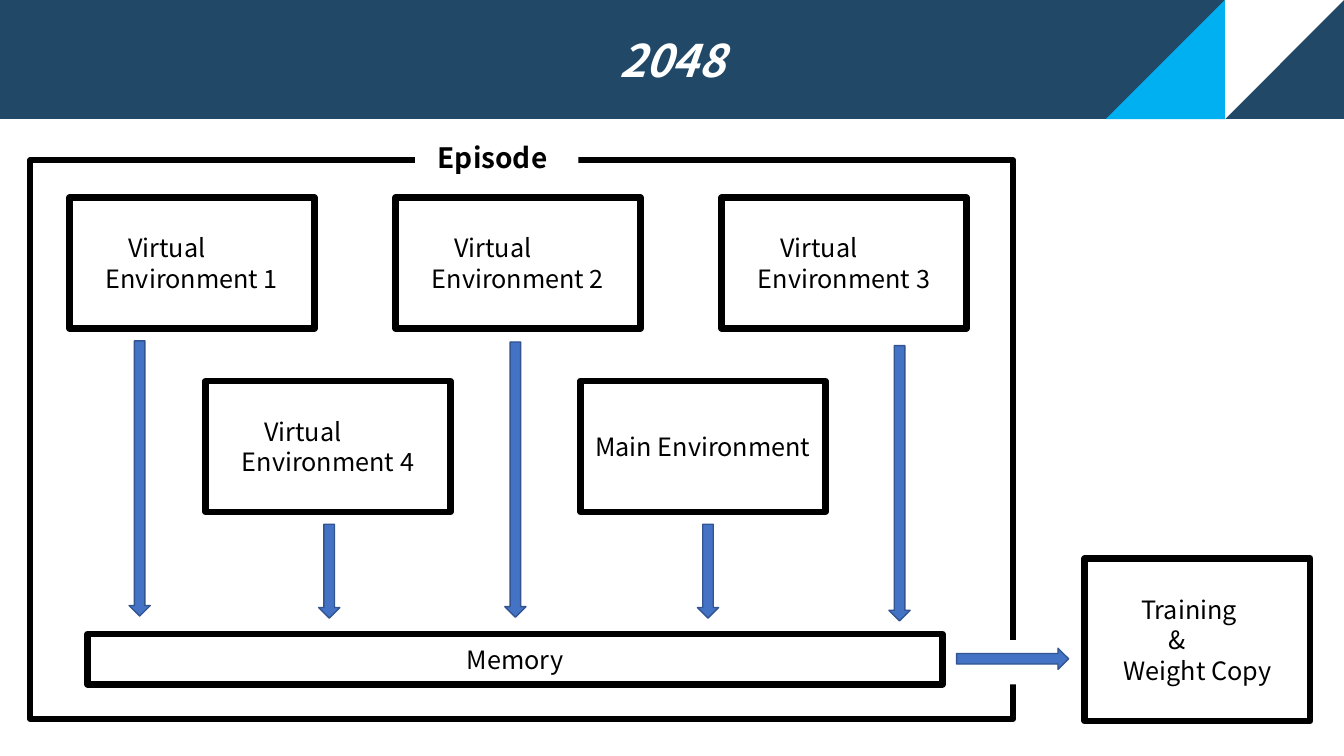
from dataclasses import dataclass

from pptx import Presentation
from pptx.dml.color import RGBColor
from pptx.enum import shapes, text
from pptx.util import Pt

SHAPE = shapes.MSO_SHAPE
ALIGN = text.PP_ALIGN
ANCHOR = text.MSO_ANCHOR


@dataclass(frozen=True)
class Theme:
    font: str = "Noto Sans CJK KR"
    navy: str = "214867"
    sky: str = "00B0F0"
    white: str = "FFFFFF"
    ink: str = "000000"
    arrow: str = "4472C4"
    arrow_edge: str = "325491"
    title: float = 32
    heading: float = 20
    body: float = 18
    border: float = 4.5
    arrow_border: float = 1


THEME = Theme()


def add_part(slide, kind, box, fill=None, line=None, weight=THEME.border):
    part = slide.shapes.add_shape(kind, *(Pt(length) for length in box))
    part.shadow.inherit = False
    if fill:
        part.fill.solid()
        part.fill.fore_color.rgb = RGBColor.from_string(fill)
    else:
        part.fill.background()
    if line:
        part.line.color.rgb = RGBColor.from_string(line)
        part.line.width = Pt(weight)
    else:
        part.line.fill.background()
    return part


def write(part, lines, size=THEME.body, color=THEME.ink, bold=False, italic=False,
          align=ALIGN.LEFT, anchor=ANCHOR.MIDDLE, centre_block=False):
    """Write (wording, first-line indent) pairs; centre_block centres them as one block."""
    frame = part.text_frame
    frame.word_wrap = True
    frame.vertical_anchor = anchor
    if centre_block:
        frame._txBody.bodyPr.set("anchorCtr", "1")
    for index, (wording, indent) in enumerate(lines):
        paragraph = frame.add_paragraph() if index else frame.paragraphs[0]
        paragraph.alignment = align
        if indent:
            properties = paragraph._p.get_or_add_pPr()
            properties.set("marL", "0")
            properties.set("indent", str(Pt(indent)))
        run = paragraph.add_run()
        run.text = wording
        run.font.name = THEME.font
        run.font.size = Pt(size)
        run.font.bold = bold
        run.font.italic = italic
        run.font.color.rgb = RGBColor.from_string(color)


def add_label_box(slide, box, *lines):
    write(add_part(slide, SHAPE.RECTANGLE, box, line=THEME.ink), lines, centre_block=True)


def add_arrow(slide, kind, box):
    add_part(slide, kind, box, THEME.arrow, THEME.arrow_edge, THEME.arrow_border)


def add_header(slide, left, top, width, height):
    band = add_part(slide, SHAPE.RECTANGLE, (left, top, width, height), THEME.navy)
    write(band, [("2048", 0)], size=THEME.title, color=THEME.white,
          bold=True, italic=True, align=ALIGN.CENTER)
    corners = ((1, 90, THEME.white), (2, 270, THEME.sky))
    for place, rotation, fill in corners:
        box = (left + width - place * height, top, height, height)
        add_part(slide, SHAPE.RIGHT_TRIANGLE, box, fill).rotation = rotation


def add_environments(slide, left, top):
    width, height = 175, 93.6
    upper_pitch, lower_pitch, lower_top = 232.9, 267.8, top + 131
    for column in range(3):
        add_label_box(slide, (left + column * upper_pitch, top, width, height),
                      (f"Virtual Environment {column + 1}", 16))
    lower = (("Virtual Environment 4", 16), ("Main Environment", 0))
    for column, line in enumerate(lower):
        add_label_box(slide, (left + 97.2 + column * lower_pitch, lower_top, width, height), line)


def add_episode(slide, left, top, width, height):
    add_environments(slide, left + 28, top + 26.6)
    add_part(slide, SHAPE.RECTANGLE, (left, top, width, height), line=THEME.ink)

    heading = add_part(slide, SHAPE.RECTANGLE, (left + 275, top - 18, 116.6, 31.7), THEME.white)
    write(heading, [("Episode", 9)], size=THEME.heading, bold=True, anchor=ANCHOR.TOP)

    # (offset from the frame's left, offset from its top, length)
    drops = ((70.6, 129, 196.6), (206, 260, 67), (339, 129.8, 196.6),
             (476.6, 260, 67), (613.4, 132.4, 196.6))
    for across, down, length in drops:
        add_arrow(slide, SHAPE.DOWN_ARROW, (left + across, top + down, 15.1, length))

    add_label_box(slide, (left + 41, top + 338.4, 610.6, 36), ("Memory", 0))
    add_part(slide, SHAPE.RECTANGLE, (left + width - 12.2, top + 342.7, 26.6, 31.7), THEME.white)


def add_training(slide, left, top, width, height):
    add_arrow(slide, SHAPE.RIGHT_ARROW, (left - 91.4, top + 64, 80, 15.1))
    add_label_box(slide, (left, top, width, height),
                  ("Training", 12.5), ("&", 32), ("Weight Copy", 0))


def main():
    deck = Presentation()
    deck.slide_width, deck.slide_height = Pt(960), Pt(540)
    slide = deck.slides.add_slide(deck.slide_layouts[6])
    add_header(slide, 0, 0, 960, 85)
    add_episode(slide, 21.6, 114.5, 702, 399)
    add_training(slide, 774.7, 399, 161.3, 116)
    deck.save("out.pptx")


if __name__ == "__main__":
    main()
